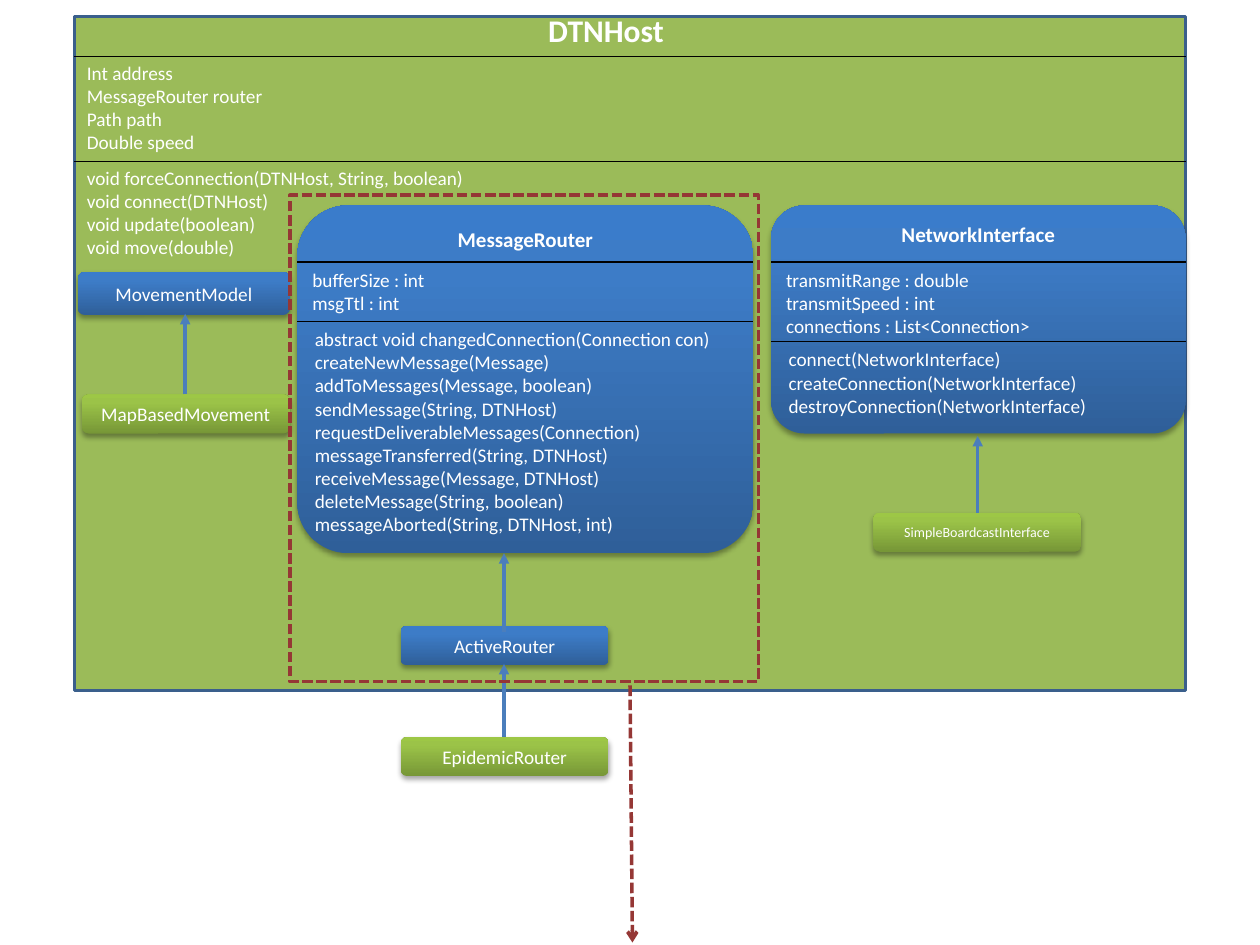
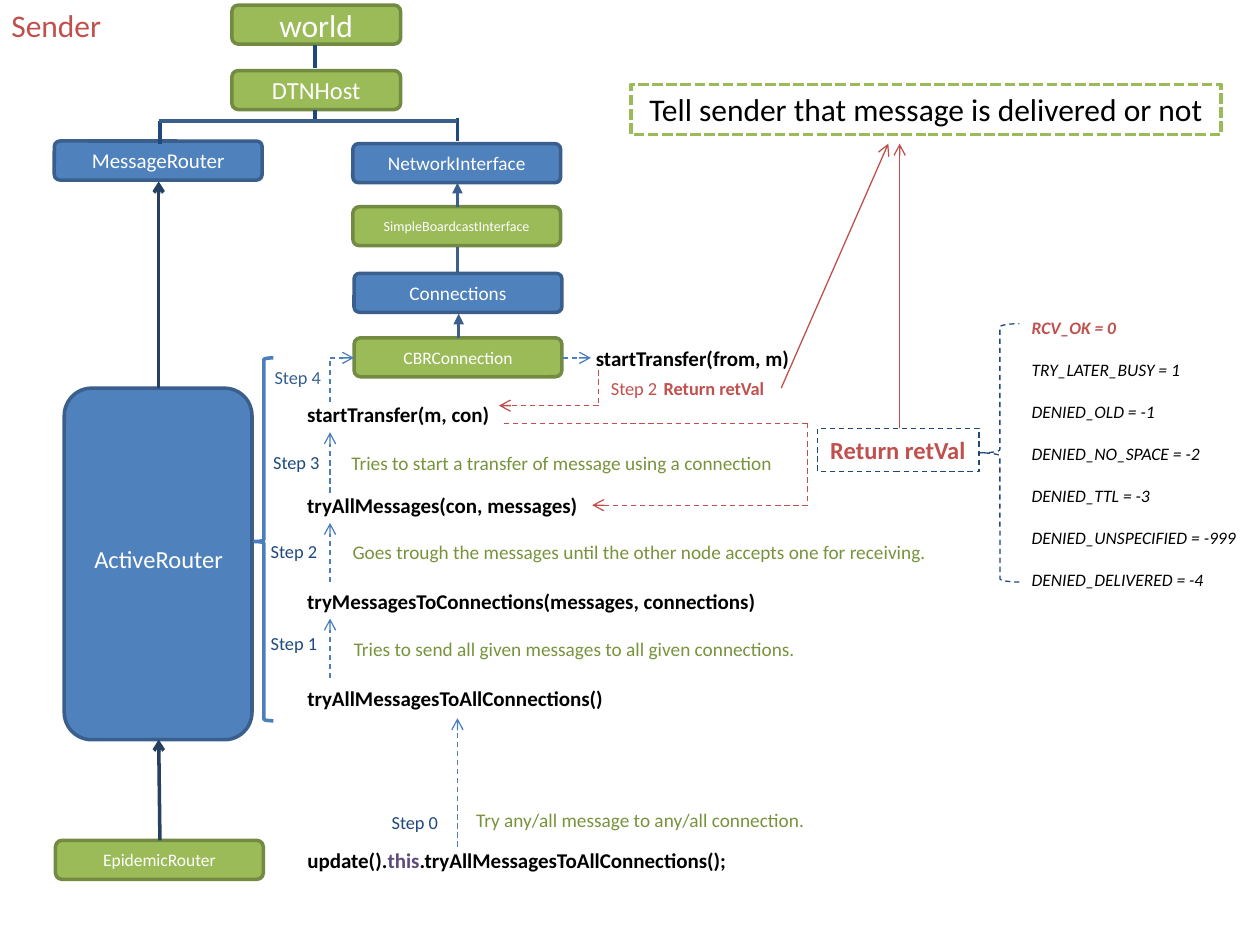
from copy import deepcopy
from typing import NamedTuple, Optional, Sequence

from lxml.etree import SubElement
from pptx import Presentation
from pptx.dml.color import RGBColor
from pptx.enum.dml import MSO_LINE
from pptx.enum.shapes import MSO_CONNECTOR, MSO_SHAPE
from pptx.enum.text import MSO_ANCHOR as ANCHOR, MSO_AUTO_SIZE as AUTO_SIZE, PP_ALIGN as ALIGN
from pptx.oxml.ns import qn
from pptx.util import Pt

FONT = "Calibri"
WHITE = RGBColor(0xFF, 0xFF, 0xFF)
BLACK = RGBColor(0x00, 0x00, 0x00)
GREEN = RGBColor(0x9B, 0xBB, 0x59)
GREEN_EDGE = RGBColor(0x73, 0x8A, 0x42)
GREEN_TEXT = RGBColor(0x77, 0x93, 0x3C)
BLUE = RGBColor(0x4F, 0x81, 0xBD)
BLUE_EDGE = RGBColor(0x3A, 0x5F, 0x8C)
BLUE_LINE = RGBColor(0x4B, 0x7E, 0xBC)
BLUE_TEXT = RGBColor(0x37, 0x60, 0x92)
NAVY = RGBColor(0x1F, 0x49, 0x7D)
DARK_NAVY = RGBColor(0x25, 0x40, 0x61)
RED = RGBColor(0xC0, 0x50, 0x4D)
DARK_RED = RGBColor(0x95, 0x37, 0x35)
PURPLE = RGBColor(0x60, 0x4A, 0x7B)
BLUE_GRADIENT = (RGBColor(0x2F, 0x5F, 0x99), RGBColor(0x3D, 0x7C, 0xC7), RGBColor(0x3A, 0x7C, 0xCB))
GREEN_GRADIENT = (RGBColor(0x77, 0x97, 0x37), RGBColor(0x9B, 0xC3, 0x48), RGBColor(0x9D, 0xC7, 0x46))

THIN, THICK = 0.75, 2
BOX_WIDTH, BOX_HEIGHT = 118.8, 22.3
CORNER = 0.146


class Style(NamedTuple):
    """Fill, outline and corner of a rounded box; three colours make a gradient."""
    fill: Sequence[RGBColor]
    edge: Optional[RGBColor] = None
    corner: float = CORNER


class Box(NamedTuple):
    """A rounded box with a centred name."""
    name: str
    left: float
    top: float
    style: Style
    size: float = 11
    width: float = BOX_WIDTH
    height: float = BOX_HEIGHT
    bold: bool = False
    anchor: ANCHOR = ANCHOR.MIDDLE


class Label(NamedTuple):
    """A free text of one or more lines."""
    text: str
    left: float
    top: float
    width: float
    size: float = 11
    color: RGBColor = WHITE
    bold: bool = False
    wrap: bool = False


class Compartment(NamedTuple):
    """A ruled part of a class box: top of the rule, then the member lines."""
    top: float
    width: float
    members: Sequence[str]
    indent: float = 0
    rise: float = 0


class Route(NamedTuple):
    """Straight segments through the points, with an optional head at the end."""
    points: Sequence[tuple[float, float]]
    color: RGBColor
    width: float = THIN
    head: str = ""
    dash: Optional[MSO_LINE] = None


GLOSSY_BLUE, GLOSSY_GREEN = Style(BLUE_GRADIENT), Style(GREEN_GRADIENT, corner=0.167)
FLAT_BLUE = Style((BLUE,), BLUE_EDGE)
FLAT_GREEN = Style((GREEN,), GREEN_EDGE, 0.167)


def format_text(shape, size: float, color: RGBColor, bold: bool = False,
                align: ALIGN = ALIGN.LEFT, anchor: ANCHOR = ANCHOR.TOP, wrap: bool = True) -> None:
    """Format the frame and every run of a shape."""
    frame = shape.text_frame
    frame.word_wrap = wrap
    frame.auto_size = AUTO_SIZE.NONE
    frame.vertical_anchor = anchor
    for paragraph in frame.paragraphs:
        paragraph.alignment = align
        for run in paragraph.runs:
            font = run.font
            font.name, font.size, font.bold = FONT, Pt(size), bold
            font.color.rgb = color


def set_line(line, color: RGBColor, width: float, dash: Optional[MSO_LINE] = None) -> None:
    """Set colour, width and dash of a line."""
    line.color.rgb = color
    line.width = Pt(width)
    if dash is not None:
        line.dash_style = dash


def add_outline(slide, kind: MSO_SHAPE, left: float, top: float, width: float, height: float,
                color: Optional[RGBColor] = None, weight: float = THICK, dash: Optional[MSO_LINE] = None):
    """Add a preset shape without fill or shadow."""
    shape = slide.shapes.add_shape(kind, Pt(left), Pt(top), Pt(width), Pt(height))
    shape.shadow.inherit = False
    shape.fill.background()
    if color is None:
        shape.line.fill.background()
    else:
        set_line(shape.line, color, weight, dash)
    return shape


def add_gloss(shape, colors: Sequence[RGBColor]) -> None:
    """Give a shape an upward three-stop gradient and a soft drop shadow."""
    shape.fill.gradient()
    shape.fill.gradient_angle = 90
    properties = shape.element.spPr
    stop_list = properties.find(qn("a:gradFill")).find(qn("a:gsLst"))
    stop_list.append(deepcopy(stop_list[-1]))
    for stop, color, position in zip(shape.fill.gradient_stops, colors, (0, 0.8, 1)):
        stop.color.rgb = color
        stop.position = position
    shadow = SubElement(properties.find(qn("a:effectLst")), qn("a:outerShdw"), blurRad=str(Pt(3.1)),
                        dist=str(Pt(1.8)), dir="5400000", rotWithShape="0")
    color = SubElement(shadow, qn("a:srgbClr"), val="000000")
    SubElement(color, qn("a:alpha"), val="35000")


def add_box(slide, box: Box) -> None:
    """Draw a rounded box."""
    style = box.style
    shape = add_outline(slide, MSO_SHAPE.ROUNDED_RECTANGLE, box.left, box.top, box.width, box.height, style.edge)
    shape.adjustments[0] = style.corner
    if len(style.fill) > 1:
        add_gloss(shape, style.fill)
    else:
        shape.fill.solid()
        shape.fill.fore_color.rgb = style.fill[0]
    shape.text_frame.text = box.name
    format_text(shape, box.size, WHITE, box.bold, ALIGN.CENTER, box.anchor)


def add_label(slide, label: Label):
    """Draw a text whose height follows from its lines."""
    height = 1.2 * label.size * len(label.text.split("\n")) + 7.2
    shape = slide.shapes.add_textbox(Pt(label.left), Pt(label.top), Pt(label.width), Pt(height))
    shape.text_frame.text = label.text
    format_text(shape, label.size, label.color, label.bold, wrap=label.wrap)
    return shape


def add_route(slide, route: Route) -> None:
    """Draw the segments of a route."""
    for start, end in zip(route.points, route.points[1:]):
        connector = slide.shapes.add_connector(MSO_CONNECTOR.STRAIGHT, *map(Pt, start + end))
        set_line(connector.line, route.color, route.width, route.dash)
        if route.head and end == route.points[-1]:
            SubElement(connector.line.get_or_add_ln() if hasattr(connector.line, "get_or_add_ln")
                       else connector.get_or_add_ln(), qn("a:tailEnd"), type=route.head)
        SubElement(connector.element.spPr, qn("a:effectLst"))


def add_compartments(slide, left: float, width: float, compartments: Sequence[Compartment]) -> None:
    """Draw the rules and members of a class box."""
    for part in compartments:
        add_route(slide, Route([(left, part.top), (left + width, part.top)], BLACK))
        add_label(slide, Label("\n".join(part.members), left + part.indent, part.top - part.rise,
                               part.width, wrap=True))


def place_title(slide, label: Label) -> None:
    """Move the title placeholder to the front and format it."""
    title = slide.shapes.title
    title.left, title.top = Pt(label.left), Pt(label.top)
    title.width, title.height = Pt(label.width), Pt(28.8)
    title.text_frame.text = label.text
    format_text(title, label.size, label.color, label.bold)
    slide.shapes.element.append(title.element)


def build_class_slide(slide) -> None:
    """Show the host class with its router, interface and movement classes."""
    left, width = 42.5, 635
    host = add_outline(slide, MSO_SHAPE.RECTANGLE, left, 9.4, width, 385.2, BLUE_EDGE)
    host.fill.solid()
    host.fill.fore_color.rgb = GREEN
    place_title(slide, Label("DTNHost", 306, 2.9, 95.8, 18, bold=True))
    add_compartments(slide, left, width, [
        Compartment(32.4, 142.6, ["Int address", "MessageRouter router", "Path path", "Double speed"], rise=1.2),
        Compartment(92.2, 289.4, ["void forceConnection(DTNHost, String, boolean)", "void connect(DTNHost)",
                                  "void update(boolean)", "void move(double)"], rise=0.8)])

    classes = [
        (Box("MessageRouter", 169.9, 117.4, GLOSSY_BLUE, 12, 260.6, 198.7, True, ANCHOR.TOP), [
            Compartment(149.8, 124.6, ["bufferSize : int", "msgTtl : int"], 1.5),
            Compartment(183.6, 252, [
                "abstract void changedConnection(Connection con)", "createNewMessage(Message)",
                "addToMessages(Message, boolean)", "sendMessage(String, DTNHost)",
                "requestDeliverableMessages(Connection)", "messageTransferred(String, DTNHost)",
                "receiveMessage(Message, DTNHost)", "deleteMessage(String, boolean)",
                "messageAborted(String, DTNHost, int)"], 2.9)]),
        (Box("NetworkInterface", 440.6, 117.4, GLOSSY_BLUE, 12, 236.9, 130.3, True, ANCHOR.TOP), [
            Compartment(149.8, 212.4, ["transmitRange : double", "transmitSpeed : int",
                                       "connections : List<Connection>"], 1.5),
            Compartment(195.1, 190, ["connect(NetworkInterface)", "createConnection(NetworkInterface)",
                                     "destroyConnection(NetworkInterface)"], 2.9)])]
    for box, compartments in classes:
        add_box(slide, box)
        add_compartments(slide, box.left, box.width, compartments)

    for box in (Box("MovementModel", 44.6, 155.5, GLOSSY_BLUE, width=121, height=24.5),
                Box("MapBasedMovement", 46.8, 225.4, GLOSSY_GREEN),
                Box("ActiveRouter", 229, 357.8, GLOSSY_BLUE),
                Box("SimpleBoardcastInterface", 499, 293, GLOSSY_GREEN, 8)):
        add_box(slide, box)
    for x, bottom, top in ((105.8, 225.4, 179.3), (288, 361.4, 316.1), (558.7, 293, 249.1), (288, 424.8, 379.4)):
        add_route(slide, Route([(x, bottom), (x, top)], BLUE_LINE, THICK, "triangle"))
    add_box(slide, Box("EpidemicRouter", 229, 421.2, GLOSSY_GREEN))
    add_route(slide, Route([(360, 391.7), (361.4, 538.6)], DARK_RED, THICK, "arrow", MSO_LINE.SQUARE_DOT))
    add_outline(slide, MSO_SHAPE.RECTANGLE, 165.6, 111.6, 267.8, 277.9, DARK_RED, THICK, MSO_LINE.SQUARE_DOT)


def build_sender_slide(slide) -> None:
    """Show the call steps on the sender's side."""
    place_title(slide, Label("Sender", -0.7, 0, 68, 18, RED))
    for box in (Box("world", 132.5, 2.9, FLAT_GREEN, 18, 96.5),
                Box("DTNHost", 132.5, 40.3, FLAT_GREEN, 14, 96.5),
                Box("MessageRouter", 31, 80.6, FLAT_BLUE, 12),
                Box("", 36.7, 221.8, FLAT_BLUE, 14, 107.3, 200.9),
                Box("EpidemicRouter", 31.7, 480.2, FLAT_GREEN, 10),
                Box("NetworkInterface", 201.6, 82.1, FLAT_BLUE),
                Box("SimpleBoardcastInterface", 201.6, 118.1, FLAT_GREEN, 8),
                Box("Connections", 202.3, 156.2, FLAT_BLUE),
                Box("CBRConnection", 202.3, 193, FLAT_GREEN, 10)):
        add_box(slide, box)

    for points in ([(180, 25.9), (180, 38.9)], [(180, 62.6), (180, 69.1)],
                   [(91.4, 69.1), (91.4, 82.1)], [(261.4, 67.7), (261.4, 80.6)]):
        add_route(slide, Route(points, NAVY, THICK))
    for points, head in (([(90.7, 69.1), (186.5, 69.1)], ""), ([(165.6, 69.1), (261.4, 69.1)], ""),
                         ([(261.4, 118.1), (261.4, 104.4)], "triangle"), ([(261.4, 141.1), (261.4, 156.2)], ""),
                         ([(262.1, 193), (262.1, 179.3)], "triangle")):
        add_route(slide, Route(points, BLUE_EDGE, THICK, head))
    for points in ([(91.4, 480.2), (90.7, 422.6)], [(90.7, 221.8), (90.7, 103.7)]):
        add_route(slide, Route(points, DARK_NAVY, THICK, "arrow"))
    for points in ([(261.4, 483.8), (261.4, 410.4)], [(188.6, 387.4), (188.6, 353.5)],
                   [(188.6, 332.6), (188.6, 298.8)], [(188.6, 281.5), (188.6, 247)],
                   [(188.6, 229.7), (188.6, 204.5), (202.3, 204.5)], [(321.8, 204.5), (337.7, 204.5)]):
        add_route(slide, Route(points, BLUE_LINE, THIN, "arrow", MSO_LINE.DASH))
    for points in ([(288, 241.9), (461.5, 241.9), (461.5, 288.7), (338.4, 288.7)],
                   [(342, 211.7), (342, 231.8), (285.1, 231.8)]):
        add_route(slide, Route(points, RED, THIN, "arrow", MSO_LINE.DASH))
    for points in ([(446.4, 221.8), (507.6, 82.1)], [(514.1, 244.8), (514.1, 82.1)]):
        add_route(slide, Route(points, RED, THIN, "arrow"))

    for text, left, top, width in (("tryAllMessagesToAllConnections()", 168.5, 388.1, 185.8),
                                   ("tryMessagesToConnections(messages, connections)", 168.5, 332.6, 273.6),
                                   ("tryAllMessages(con, messages)", 168.5, 277.9, 170.6),
                                   ("startTransfer(m, con)", 168.5, 226.1, 119.5),
                                   ("startTransfer(from, m)", 333.4, 193.7, 126)):
        add_label(slide, Label(text, left, top, width, 12, BLACK, True))
    update = add_label(slide, Label("update().", 168.5, 481, 255.6, 12, BLACK, True))
    for text in ("this", ".tryAllMessagesToAllConnections();"):
        update.text_frame.paragraphs[0].add_run().text = text
    format_text(update, 12, BLACK, True, wrap=False)
    update.text_frame.paragraphs[0].runs[1].font.color.rgb = PURPLE

    for text, left, top, width in (
            ("Try any/all message to any/all connection.", 265, 458.6, 204.5),
            ("Tries to send all given messages to all given connections.", 195.1, 360.7, 268.6),
            ("Goes trough the messages until the other node accepts one for receiving.", 194.4, 305.3, 344.2),
            ("Tries to start a transfer of message using a connection", 193.7, 254.2, 257.8)):
        add_label(slide, Label(text, left, top, width, 11, GREEN_TEXT))
    for number, left, top, color in ((0, 216.7, 460.1, NAVY), (1, 147.6, 357.8, NAVY), (2, 147.6, 305.3, NAVY),
                                     (3, 149, 254.2, NAVY), (4, 149.8, 205.9, BLUE_TEXT), (2, 342, 211.7, RED)):
        add_label(slide, Label(f"Step {number}", left, top, 41.8, 10.5, color))
    add_label(slide, Label("Return retVal", 372.2, 211.7, 74.2, 10.5, RED, True))
    add_label(slide, Label("ActiveRouter", 46.8, 307.4, 89.3, 14))

    result = add_outline(slide, MSO_SHAPE.RECTANGLE, 467.3, 244.8, 92.2, 24.5, NAVY, THIN, MSO_LINE.DASH)
    result.text_frame.text = "Return retVal"
    format_text(result, 14, RED, True, wrap=False)
    goal = add_outline(slide, MSO_SHAPE.RECTANGLE, 360.7, 48.2, 337, 28.8, GREEN, THICK, MSO_LINE.SQUARE_DOT)
    goal.text_frame.text = "Tell sender that message is delivered or not"
    format_text(goal, 18, BLACK, align=ALIGN.CENTER)
    add_outline(slide, MSO_SHAPE.LEFT_BRACE, 560.2, 185, 22.3, 147.6, NAVY, THIN, MSO_LINE.DASH)
    steps = add_outline(slide, MSO_SHAPE.LEFT_BRACE, 145.4, 204.5, 10.8, 207.4, BLUE_LINE)
    steps.adjustments[1] = 0.506

    codes = add_label(slide, Label("RCV_OK = 0\nTRY_LATER_BUSY = 1\nDENIED_OLD = -1\nDENIED_NO_SPACE = -2\n"
                                   "DENIED_TTL = -3\nDENIED_UNSPECIFIED = -999\nDENIED_DELIVERED = -4",
                                   582.5, 177.8, 139, 10, BLACK, wrap=True))
    codes.height = Pt(200.9)
    for paragraph in codes.text_frame.paragraphs:
        paragraph.space_after = Pt(12)
        paragraph.runs[0].font.italic = True
    success = codes.text_frame.paragraphs[0].runs[0].font
    success.bold, success.color.rgb = True, RED


presentation = Presentation()
presentation.slide_width, presentation.slide_height = Pt(720), Pt(540)
title_only = presentation.slide_layouts[5]
for build in (build_class_slide, build_sender_slide):
    build(presentation.slides.add_slide(title_only))
presentation.save("out.pptx")
